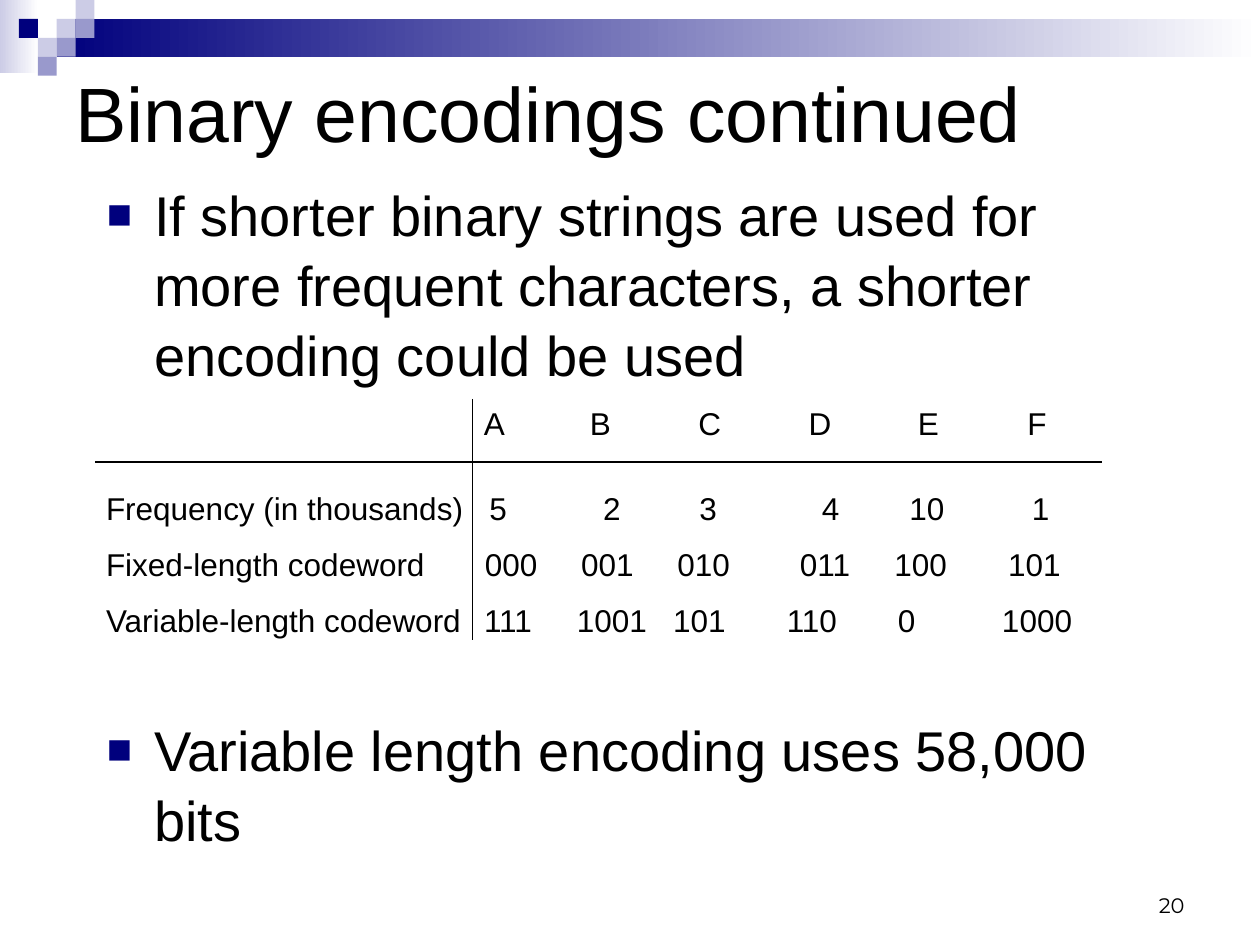
from dataclasses import dataclass
from typing import Sequence

from lxml import etree
from pptx import Presentation
from pptx import util as u
from pptx.dml import color
from pptx.enum import shapes, text
from pptx.oxml import ns


@dataclass(frozen=True)
class Theme:
    navy: str = "00007D"
    mid: str = "9999CC"
    pale: str = "CCCCE6"
    white: str = "FFFFFF"
    ink: str = "000000"
    face: str = "Arial"
    num: str = "Montserrat"
    title: float = 44
    body: float = 32
    cell: float = 18
    foot: float = 12


@dataclass(frozen=True)
class Box:
    left: float
    top: float
    width: float
    height: float

    def pts(self) -> list:
        return [u.Pt(v) for v in (self.left, self.top, self.width, self.height)]


@dataclass(frozen=True)
class Tile:
    col: int
    row: int
    tone: str


@dataclass(frozen=True)
class Row:
    cells: Sequence[str]
    tabs: Sequence[float]


T = Theme()
UNIT = 10.8
TILES = [
    Tile(3, 1, T.pale), Tile(4, 0, T.pale), Tile(4, 1, T.mid),
    Tile(2, 2, T.pale), Tile(1, 1, T.navy), Tile(3, 2, T.mid),
    Tile(2, 3, T.mid),
]
HEAD = Row("ABCDEF", (60.5, 122.5, 185.5, 248, 310.5))
ROWS = [
    Row(("Frequency (in thousands)", "5", "2", "3", "4", "10", "1"),
        (219, 284, 339, 409, 459, 529)),
    Row(("Fixed-length codeword", "000", "001", "010", "011", "100", "101"),
        (216.5, 271.5, 326.5, 396.5, 450.5, 515.5)),
    Row(("Variable-length codeword", "111", "1001", "101", "110", "0", "1000"),
        (216, 269, 324, 389, 452.5, 512)),
]
BULLETS = [
    "If shorter binary strings are used for more frequent characters, "
    "a shorter encoding could be used",
    "Variable length encoding uses 58,000 bits",
]


def rgb(tone: str) -> color.RGBColor:
    return color.RGBColor.from_string(tone)


def block(slide, box: Box, tone: str, fade: str = "") -> None:
    shape = slide.shapes.add_shape(shapes.MSO_SHAPE.RECTANGLE, *box.pts())
    shape.shadow.inherit = False
    shape.line.fill.background()
    if fade:
        shape.fill.gradient()
        shape.fill.gradient_angle = 0
        for stop, hue, pos in zip(shape.fill.gradient_stops, (tone, fade), (0, 1)):
            stop.color.rgb = rgb(hue)
            stop.position = pos
    else:
        shape.fill.solid()
        shape.fill.fore_color.rgb = rgb(tone)


def rule(slide, x1: float, y1: float, x2: float, y2: float) -> None:
    line = slide.shapes.add_connector(
        shapes.MSO_CONNECTOR.STRAIGHT, *[u.Pt(v) for v in (x1, y1, x2, y2)])
    line.line.color.rgb = rgb(T.ink)
    line.line.width = u.Pt(1)
    etree.SubElement(line._element.spPr, ns.qn("a:effectLst"))


def frame(slide, box: Box, low: bool = False):
    area = slide.shapes.add_textbox(*box.pts()).text_frame
    area.word_wrap = True
    area.vertical_anchor = text.MSO_ANCHOR.BOTTOM if low else text.MSO_ANCHOR.TOP
    return area


def style(para, size: float, face: str = T.face) -> None:
    para.font.size = u.Pt(size)
    para.font.name = face
    para.font.color.rgb = rgb(T.ink)


def label(slide, box: Box, words: str, size: float, face: str = T.face,
          right: bool = False) -> None:
    para = frame(slide, box, low=True).paragraphs[0]
    para.text = words
    para.alignment = text.PP_ALIGN.RIGHT if right else text.PP_ALIGN.LEFT
    style(para, size, face)


def grid(slide, box: Box, rows: Sequence[Row], gap: float) -> None:
    area = frame(slide, box)
    for i, row in enumerate(rows):
        para = area.paragraphs[0] if i == 0 else area.add_paragraph()
        para.text = "\t".join(row.cells)
        if i:
            para.space_before = u.Pt(gap)
        stops = etree.SubElement(para._p.get_or_add_pPr(), ns.qn("a:tabLst"))
        for pos in row.tabs:
            etree.SubElement(stops, ns.qn("a:tab"), pos=str(u.Pt(pos)), algn="l")
        style(para, T.cell)


def points(slide, box: Box, items: Sequence[str], gap: float) -> None:
    area = frame(slide, box)
    for i, item in enumerate(items):
        para = area.paragraphs[0] if i == 0 else area.add_paragraph()
        para.text = item
        para.line_spacing = 1.04
        if i:
            para.space_before = u.Pt(gap)
        props = para._p.get_or_add_pPr()
        props.set("marL", str(u.Pt(27)))
        props.set("indent", str(u.Pt(-27)))
        tint = etree.SubElement(props, ns.qn("a:buClr"))
        etree.SubElement(tint, ns.qn("a:srgbClr"), val=T.navy)
        etree.SubElement(props, ns.qn("a:buSzPct"), val="75000")
        etree.SubElement(props, ns.qn("a:buFont"), typeface=T.face)
        etree.SubElement(props, ns.qn("a:buChar"), char="■")
        style(para, T.body)


def main() -> None:
    deck = Presentation()
    deck.slide_width, deck.slide_height = u.Pt(720), u.Pt(540)
    slide = deck.slides.add_slide(deck.slide_layouts[6])

    block(slide, Box(0, 0, 22, 42), T.pale, T.white)
    block(slide, Box(3 * UNIT, UNIT, 720 - 3 * UNIT, 2 * UNIT), T.navy, T.white)
    for tile in TILES:
        block(slide, Box(tile.col * UNIT, tile.row * UNIT, UNIT, UNIT), tile.tone)

    label(slide, Box(516, 492, 168, 36), "20", T.foot, T.num, right=True)
    label(slide, Box(36, 18, 648, 76), "Binary encodings continued", T.title)
    points(slide, Box(54, 98, 612, 324), BULLETS, 186)
    rule(slide, 54.5, 264, 629.5, 264)
    grid(slide, Box(53.5, 276, 594.5, 94), ROWS, 10.3)
    rule(slide, 270, 228, 270, 366)
    grid(slide, Box(269.5, 227.5, 360.5, 29.5), [HEAD], 0)

    deck.save("out.pptx")


if __name__ == "__main__":
    main()
